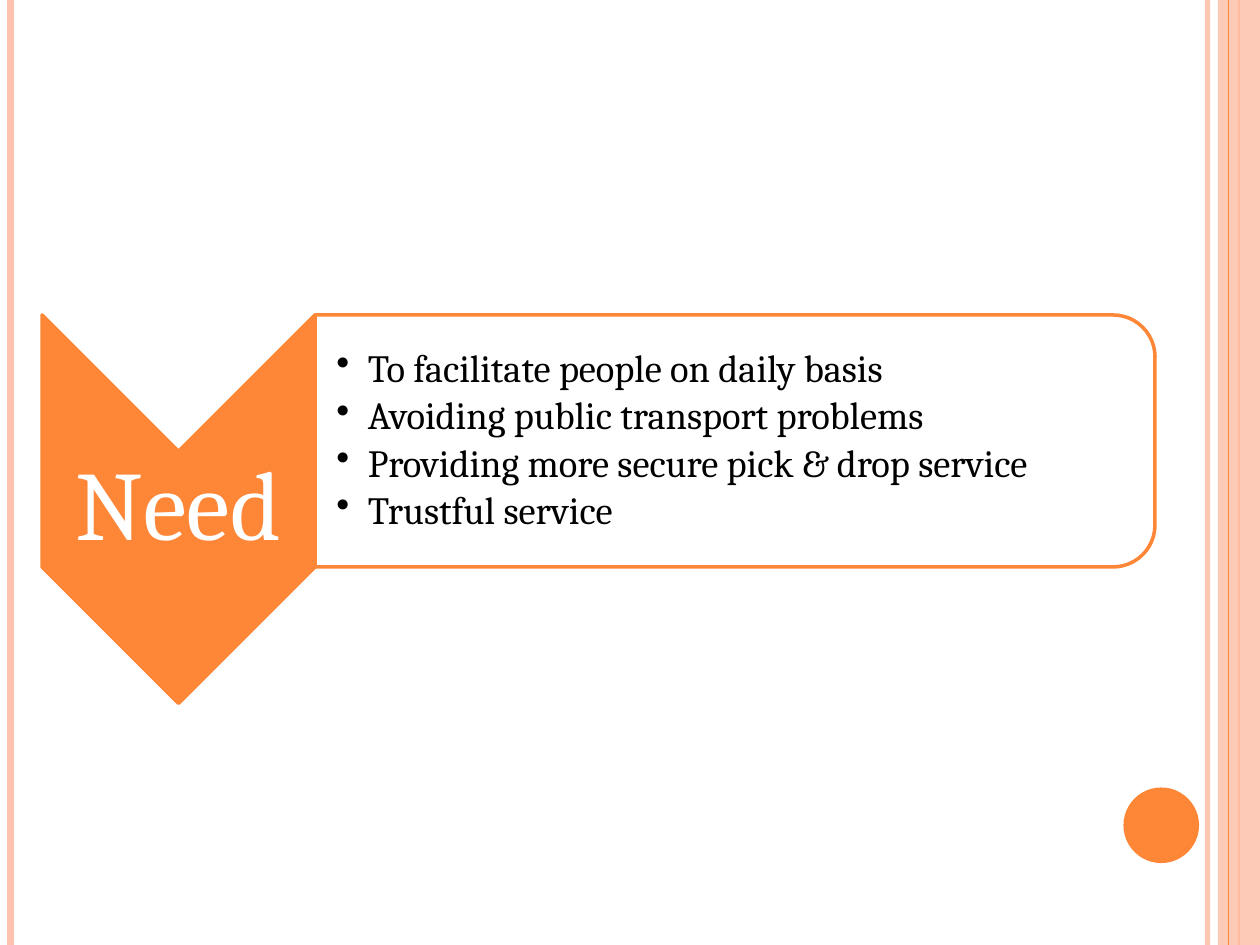
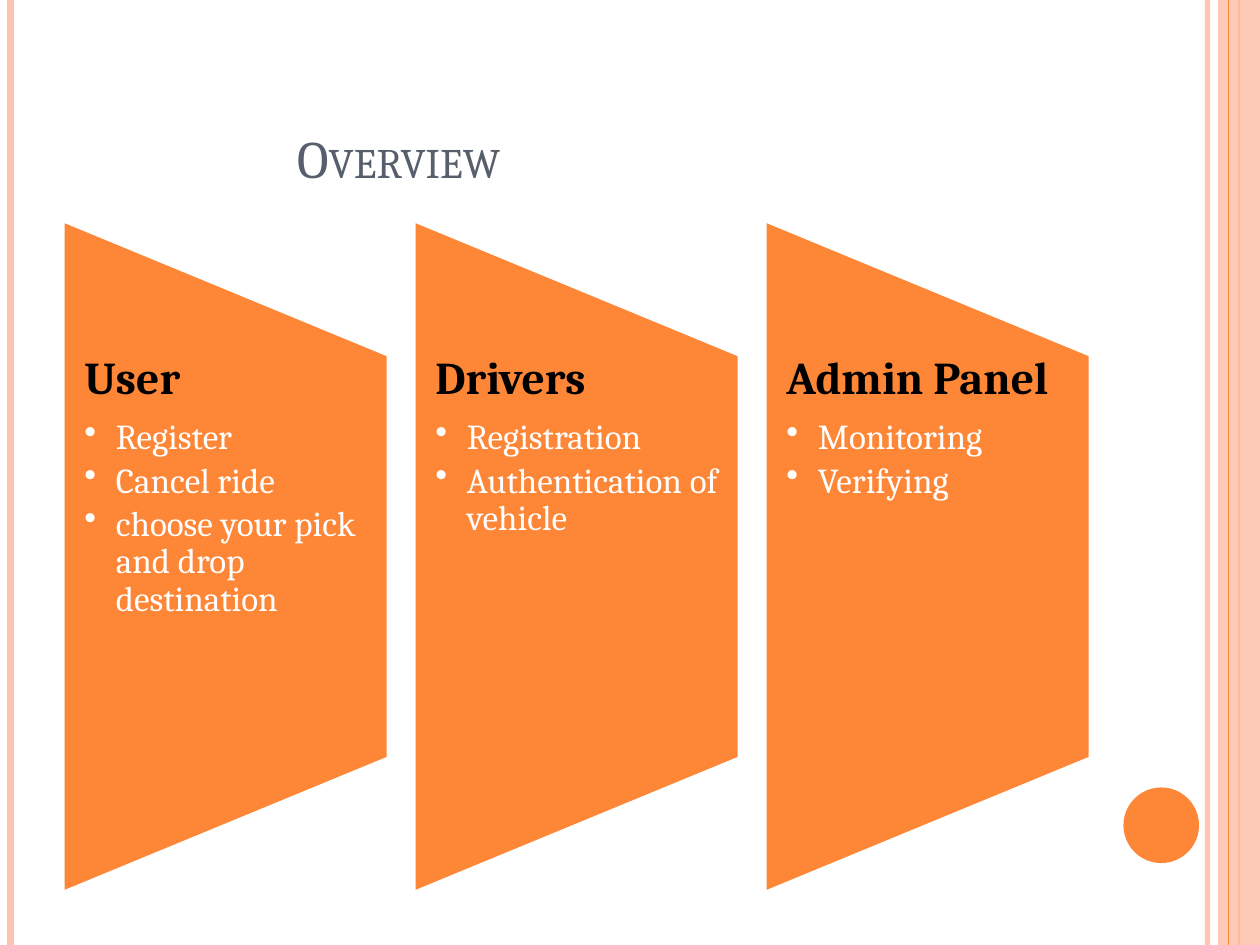
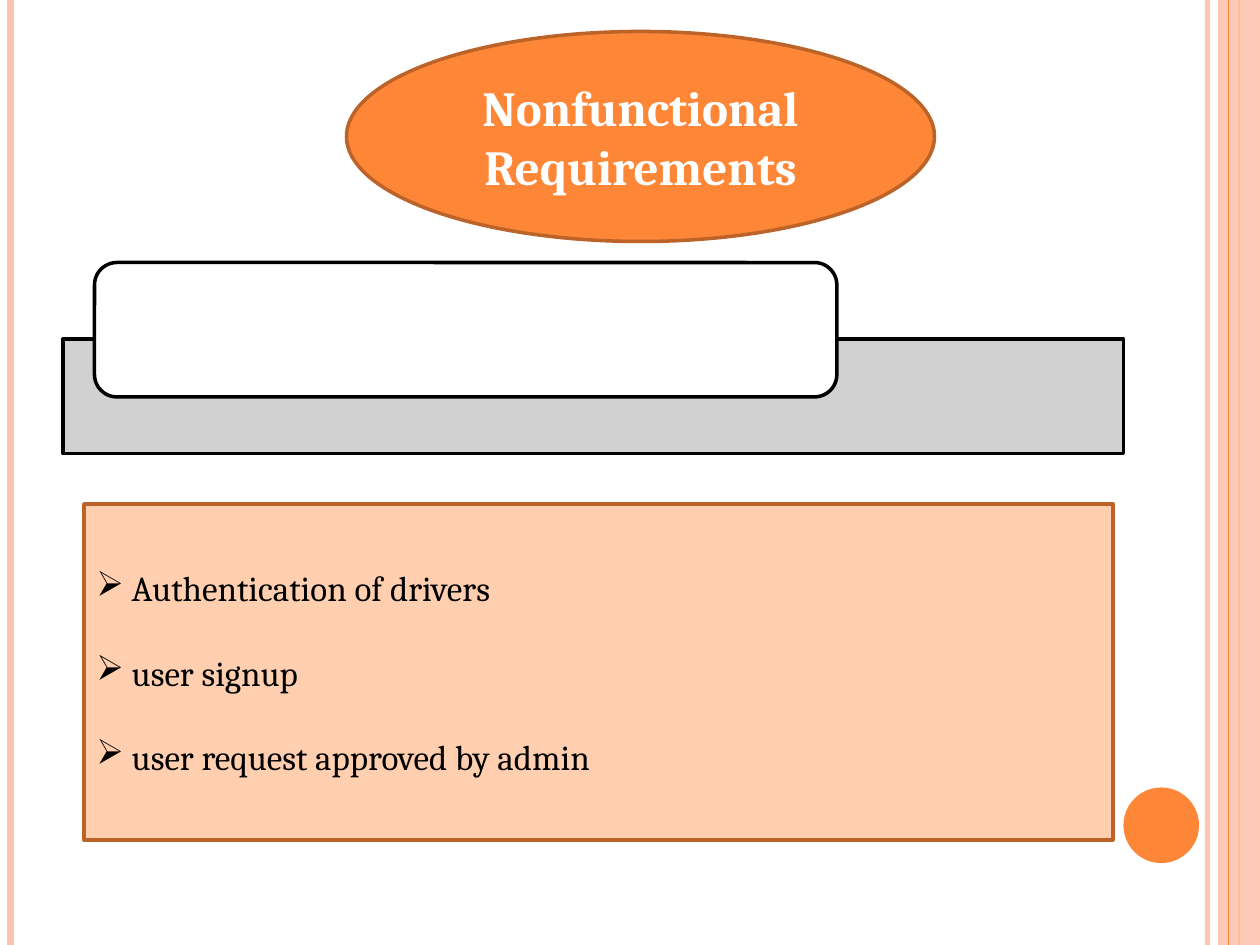
from pptx import Presentation
from pptx.dml.color import RGBColor
from pptx.enum.shapes import MSO_CONNECTOR, MSO_SHAPE
from pptx.enum.text import MSO_ANCHOR, MSO_AUTO_SIZE, PP_ALIGN
from pptx.oxml.ns import qn
from pptx.util import Inches, Pt
from lxml import etree

ORANGE = RGBColor(0xFE, 0x86, 0x37)
PEACH = RGBColor(0xFE, 0xC3, 0xAE)
PALE = RGBColor(0xFF, 0xCF, 0xAF)
BROWN = RGBColor(0xBC, 0x63, 0x29)
SLATE = RGBColor(0x57, 0x5F, 0x6D)
GREY = RGBColor(0xCC, 0xCC, 0xCC)
BLACK = RGBColor(0, 0, 0)
WHITE = RGBColor(0xFF, 0xFF, 0xFF)
FONT = "Cambria"

RECT, OVAL = MSO_SHAPE.RECTANGLE, MSO_SHAPE.OVAL
CHEVRON, ROUNDED = MSO_SHAPE.CHEVRON, MSO_SHAPE.ROUNDED_RECTANGLE
ROUND_TOP = MSO_SHAPE.ROUND_2_SAME_RECTANGLE
TRAPEZOID = MSO_SHAPE.FLOWCHART_MANUAL_OPERATION
STRAIGHT = MSO_CONNECTOR.STRAIGHT
TOP, MIDDLE, BOTTOM = MSO_ANCHOR.TOP, MSO_ANCHOR.MIDDLE, MSO_ANCHOR.BOTTOM
LEFT, CENTER = PP_ALIGN.LEFT, PP_ALIGN.CENTER

prs = Presentation()
prs.slide_width, prs.slide_height = Inches(10), Inches(7.5)
COLS, ROWS = 120, 90
U = prs.slide_width // COLS


def add_box(s, kind, frame, fill, line=None, rotation=0, opacity=100):
    x, y, w, h = frame
    if rotation in (90, 270):
        x, y, w, h = x + (w - h) / 2, y + (h - w) / 2, h, w
    sp = s.shapes.add_shape(kind, *[round(v * U) for v in (x, y, w, h)])
    sp.rotation = rotation
    sp.shadow.inherit = False
    sp.fill.solid()
    sp.fill.fore_color.rgb = fill
    if opacity < 100:
        clr = sp._element.spPr.find(".//" + qn("a:srgbClr"))
        etree.SubElement(clr, qn("a:alpha"), val=str(opacity * 1000))
    if line is None:
        sp.line.fill.background()
    else:
        sp.line.color.rgb = line
        sp.line.width = Pt(2)
    return sp


def write(tf, lines, size, color, anchor=TOP, align=LEFT, bold=False,
          bullet=None, indent=0.25, spacing=None, before=0, after=0):
    tf.word_wrap = True
    tf.vertical_anchor = anchor
    tf.text = "\n".join(lines)
    for i, p in enumerate(tf.paragraphs):
        p.alignment = align
        p.line_spacing = spacing
        p.space_before = Pt(before if i else 0)
        p.space_after = Pt(after)
        if bullet:
            pPr = p._p.get_or_add_pPr()
            pPr.set("marL", str(Inches(indent)))
            pPr.set("indent", str(-Inches(indent)))
            etree.SubElement(pPr, qn("a:buChar"), char=bullet)
        for r in p.runs:
            r.font.name = FONT
            r.font.size = Pt(size)
            r.font.bold = bold
            r.font.color.rgb = color


TITLE_ONLY, BLANK = prs.slide_layouts[5], prs.slide_layouts[6]
slides = [prs.slides.add_slide(layout) for layout in (BLANK, TITLE_ONLY, BLANK)]

RULES = [(115, PEACH, 3, 93), (1, PEACH, 4.5, 100),
         (118, ORANGE, 1.5, 100), (117, ORANGE, 0.75, 100)]
for s in slides:
    for col, color, width, opacity in RULES:
        if col == 117:
            add_box(s, RECT, (116, 0, 4, ROWS), PEACH, opacity=87)
        c = s.shapes.add_connector(STRAIGHT, col * U, 0, col * U, ROWS * U)
        c.line.color.rgb = color
        c.line.width = Pt(width)
        spPr = c._element.spPr
        if opacity < 100:
            clr = spPr.find(".//" + qn("a:srgbClr"))
            etree.SubElement(clr, qn("a:alpha"), val=str(opacity * 1000))
        etree.SubElement(spPr, qn("a:effectLst"))
    add_box(s, OVAL, (107, 75, 7.2, 7.2), ORANGE)

s = slides[0]
add_box(s, CHEVRON, (4, 30, 26, 37), ORANGE, ORANGE, rotation=90)
tf = s.shapes.add_textbox(4 * U, 43 * U, 26 * U, 11 * U).text_frame
tf.margin_left = tf.margin_right = tf.margin_top = tf.margin_bottom = Inches(0.04)
write(tf, ["Need"], 56, WHITE, MIDDLE, CENTER, spacing=0.9)
add_box(s, ROUND_TOP, (30, 30, 80, 24), WHITE, ORANGE, rotation=90, opacity=90)
tf = s.shapes.add_textbox(30 * U, 31 * U, 79 * U, 22 * U).text_frame
tf.margin_left = Inches(0.17)
tf.margin_right = tf.margin_top = tf.margin_bottom = Inches(0.02)
write(tf, ["To facilitate people on daily basis",
           "Avoiding public transport problems",
           "Providing more secure pick & drop service",
           "Trustful service"],
      22, BLACK, MIDDLE, bullet="•", spacing=0.9, after=3.3)

s = slides[1]
title = s.shapes.title
title.left, title.top, title.width, title.height = 6 * U, round(3.6 * U), 98 * U, 15 * U
tf = title.text_frame
tf.auto_size = MSO_AUTO_SIZE.NONE
write(tf, ["Overview"], 30, SLATE, BOTTOM)
p = tf.paragraphs[0]
p._p.get_or_add_pPr().set("marL", str(Inches(1.76)))
p.runs[0].font._element.set("cap", "small")

ROLES = [
    ("User", ["Register", "Cancel ride", "choose your pick and drop destination"]),
    ("Drivers", ["Registration", "Authentication of vehicle"]),
    ("Admin Panel", ["Monitoring", "Verifying"]),
]
PANEL_W, PANEL_STEP = 31, 33.43
for i, (role, tasks) in enumerate(ROLES):
    x = 6 + i * PANEL_STEP
    add_box(s, TRAPEZOID, (x, 21, PANEL_W, 64), ORANGE, WHITE, rotation=270)
    tf = s.shapes.add_textbox(round(x * U), round(33.8 * U),
                              PANEL_W * U, round(38.4 * U)).text_frame
    tf.margin_left = tf.margin_right = Inches(0.17)
    tf.margin_top = tf.margin_bottom = 0
    write(tf, [role] + tasks, 20, WHITE, bullet="•", spacing=0.9, after=3)
    p = tf.paragraphs[0]
    pPr = p._p.get_or_add_pPr()
    pPr.remove(pPr.find(qn("a:buChar")))
    pPr.set("marL", "0")
    pPr.set("indent", "0")
    p.space_after = Pt(9)
    font = p.runs[0].font
    font.size, font.bold, font.color.rgb = Pt(26), True, BLACK

s = slides[2]
add_box(s, RECT, (6, 32.3, 101, 10.9), GREY, BLACK, opacity=90)
add_box(s, ROUNDED, (9, 25, 70.7, 12.8), WHITE, BLACK)
sp = add_box(s, OVAL, (33, 3, 56, 20), ORANGE, BROWN)
write(sp.text_frame, ["Nonfunctional Requirements"], 28, WHITE, MIDDLE, CENTER, bold=True)
sp = add_box(s, RECT, (8, 48, 98, 32), PALE, BROWN)
write(sp.text_frame,
      ["Authentication of drivers", "user signup", "user request approved by admin"],
      20, BLACK, MIDDLE, bullet="➢", indent=0.28, before=24)

prs.save("out.pptx")
